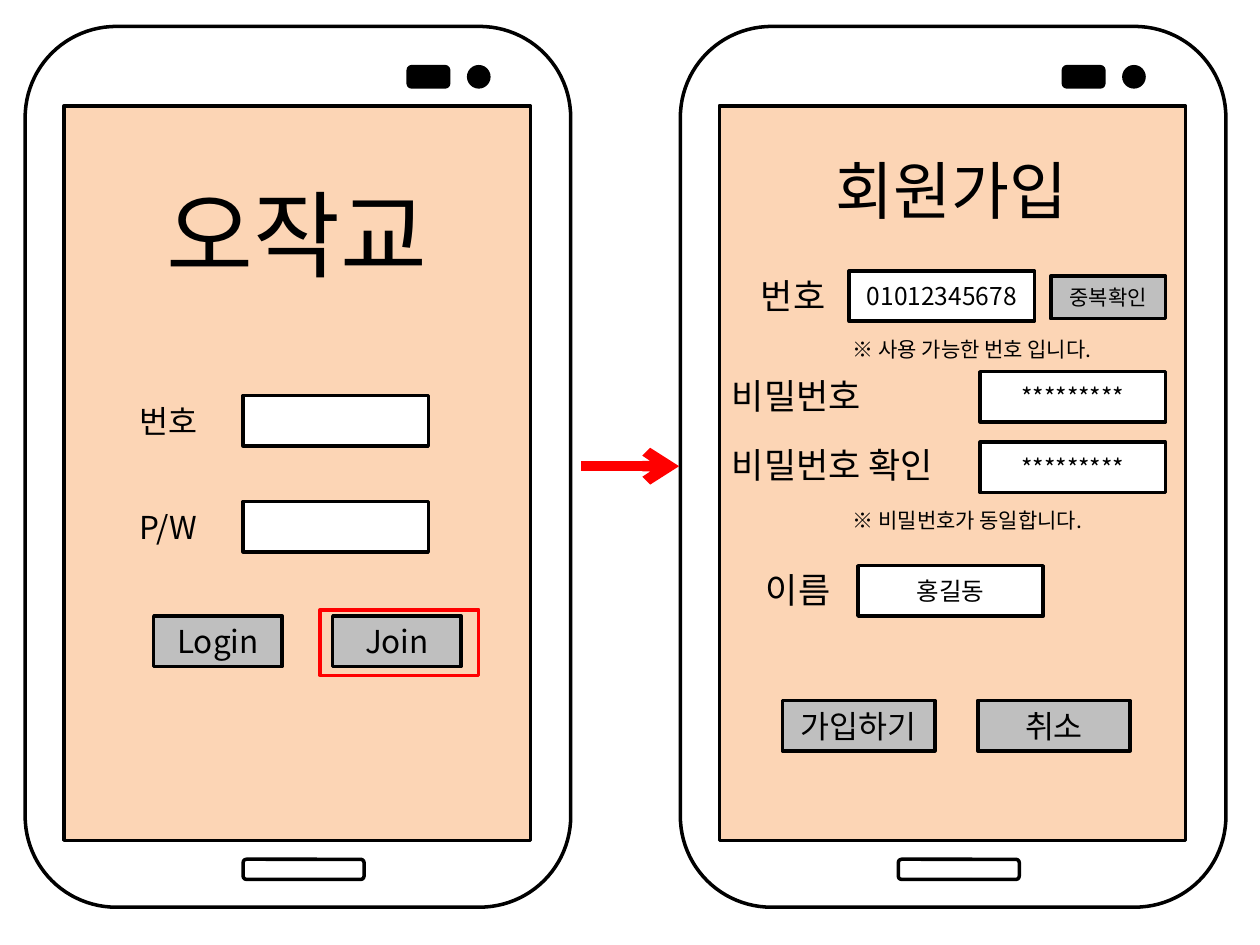
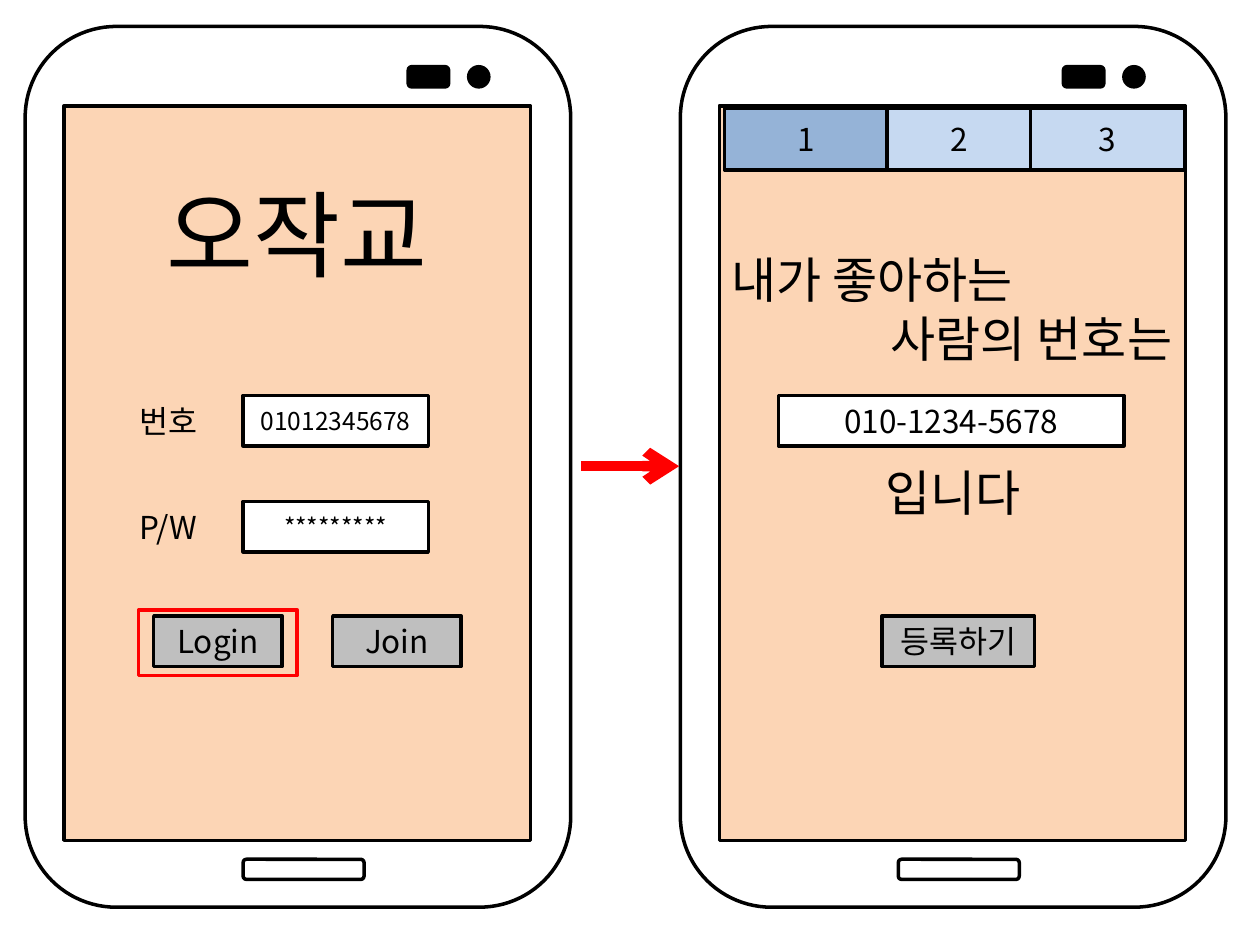
import pptx
import pptx.util
import pptx.dml.color
import pptx.enum.shapes
import pptx.enum.text
import pptx.oxml
import pptx.oxml.ns

SHAPE = pptx.enum.shapes.MSO_SHAPE
ALIGN = pptx.enum.text.PP_ALIGN
ANCHOR = pptx.enum.text.MSO_ANCHOR
FONT = "Noto Sans CJK KR"
COLORS = {
    "ink": "000000", "paper": "FFFFFF", "screen": "FCD5B5", "button": "BFBFBF",
    "accent": "FF0000", "tab": "C6D9F1", "active_tab": "95B3D7",
}

# The slide is a grid of 100 columns by 75 rows of square cells.
COLUMNS, ROWS = 100, 75
SLIDE_WIDTH = pptx.util.Inches(10)
CELL = SLIDE_WIDTH // COLUMNS

# Horizontal places inside a screen are counted from that screen's left edge.
PHONE_PITCH = 52
LEFT_PHONE, RIGHT_PHONE = 2, 2 + PHONE_PITCH
LEFT_SCREEN, RIGHT_SCREEN = 5.1, 5.1 + PHONE_PITCH
SCREEN_TOP, SCREEN_WIDTH, SCREEN_HEIGHT = 8.4, 37, 58.3
FIELD_WIDTH, CONTROL_HEIGHT = 14.7, 4
LOGIN_ROWS = (31.4, 39.8)
BUTTON_ROW = 48.9
MASK = "*" * 9


def cells(*counts):
    return [pptx.util.Emu(round(count * CELL)) for count in counts]


def rgb(name):
    return pptx.dml.color.RGBColor.from_string(COLORS[name])


def write_text(frame, text, size, alignments):
    """Write one paragraph for each line, with one alignment for each."""
    frame.word_wrap = True
    for index, (line, alignment) in enumerate(zip(text.split("\n"), alignments)):
        paragraph = frame.paragraphs[0] if index == 0 else frame.add_paragraph()
        paragraph.alignment = alignment
        run = paragraph.add_run()
        run.text = line
        run.font.size = pptx.util.Pt(size)
        run.font.name = FONT
        run.font.color.rgb = rgb("ink")
        east_asian = pptx.oxml.parse_xml(
            f'<a:ea {pptx.oxml.ns.nsdecls("a")} typeface="{FONT}"/>')
        run.font._element.find(pptx.oxml.ns.qn("a:latin")).addnext(east_asian)


def add_box(shapes, left, top, width, height, fill="paper", line="ink",
            kind=SHAPE.RECTANGLE, text="", size=18):
    shape = shapes.add_shape(kind, *cells(left, top, width, height))
    shape.shadow.inherit = False
    if fill:
        shape.fill.solid()
        shape.fill.fore_color.rgb = rgb(fill)
    else:
        shape.fill.background()
    shape.line.color.rgb = rgb(line)
    shape.line.width = pptx.util.Pt(2)
    if text:
        shape.text_frame.vertical_anchor = ANCHOR.MIDDLE
        write_text(shape.text_frame, text, size, [ALIGN.CENTER])
    return shape


def add_label(slide, left, top, width, height, text, size,
              alignments=(ALIGN.LEFT,)):
    box = slide.shapes.add_textbox(*cells(left, top, width, height))
    write_text(box.text_frame, text, size, alignments)
    box.text_frame.auto_size = pptx.enum.text.MSO_AUTO_SIZE.SHAPE_TO_FIT_TEXT


def add_field(slide, left, top, text="", size=14, width=FIELD_WIDTH):
    add_box(slide.shapes, left, top, width, CONTROL_HEIGHT, text=text, size=size)


def add_button(slide, left, top, width, text):
    add_box(slide.shapes, left, top, width, CONTROL_HEIGHT, "button", text=text)


def add_phone(slide, left):
    shapes = slide.shapes.add_group_shape().shapes
    rounded = SHAPE.ROUNDED_RECTANGLE
    add_box(shapes, left, 2.1, 43.3, 69.9, kind=rounded)
    add_box(shapes, left + 17.3, 68.2, 9.6, 1.6, kind=rounded)
    add_box(shapes, left + 35.2, 5.3, 1.6, 1.6, "ink", kind=SHAPE.OVAL)
    add_box(shapes, left + 30.4, 5.3, 3.2, 1.6, "ink", kind=rounded)


def add_screen(shapes, left):
    add_box(shapes, left, SCREEN_TOP, SCREEN_WIDTH, SCREEN_HEIGHT, "screen")


def add_arrow(slide):
    connector = slide.shapes.add_connector(
        pptx.enum.shapes.MSO_CONNECTOR.STRAIGHT, *cells(46.1, 37, 53.9, 37))
    connector.line.color.rgb = rgb("accent")
    connector.line.width = pptx.util.Pt(6)
    namespace = pptx.oxml.ns.nsdecls("a")
    connector.line._get_or_add_ln().append(
        pptx.oxml.parse_xml(f'<a:tailEnd {namespace} type="arrow"/>'))
    connector._element.spPr.append(
        pptx.oxml.parse_xml(f"<a:effectLst {namespace}/>"))


def add_login_screen(slide, highlight, values=("", "")):
    """Login form with a red frame around the button to press."""
    left = LEFT_SCREEN
    add_screen(slide.shapes, left)
    add_label(slide, left + 5.9, 13.5, 25.2, 10.1, "오작교", 54, [ALIGN.CENTER])
    for top, label, value in zip(LOGIN_ROWS, ("번호", "P/W"), values):
        add_label(slide, left + 5, top, 9.4, 4, label, 18)
        add_field(slide, left + 14.2, top, value)
    for offset, text in ((7.1, "Login"), (21.3, "Join")):
        add_button(slide, left + offset, BUTTON_ROW, 10.2, text)
    add_box(slide.shapes, left + highlight, 48.4, 12.6, 5.2, None, "accent")


def add_signup_screen(slide):
    left = RIGHT_SCREEN
    add_screen(slide.shapes, left)
    add_label(slide, left + 5.8, 11.5, 25.2, 7.1, "회원가입", 36, [ALIGN.CENTER])
    # Field names
    for offset, top, width, text in (
            (2.3, 21.3, 8, "번호"), (0, 29.2, 13.5, "비밀번호"),
            (0, 34.7, 19.5, "비밀번호 확인"), (2.7, 44.6, 8, "이름")):
        add_label(slide, left + offset, top, width, 4.4, text, 20)
    # Entered values
    for offset, top, text in (
            (10.3, 21.5, "01012345678"), (20.7, 29.5, MASK),
            (20.7, 35.1, MASK), (11, 44.9, "홍길동")):
        add_field(slide, left + offset, top, text)
    # Checks
    add_box(slide.shapes, left + 26.3, 21.9, 9.1, 3.4, "button",
            text="중복확인", size=12)
    for top, text in ((26.2, "※ 사용 가능한 번호 입니다."),
                      (39.8, "※ 비밀번호가 동일합니다.")):
        add_label(slide, left + 9.6, top, 24.2, 3, text, 12)
    for offset, text in ((5, "가입하기"), (20.5, "취소")):
        add_button(slide, left + offset, 55.6, 12.1, text)


def add_register_screen(slide):
    left = RIGHT_SCREEN
    # Screen with its tabs
    shapes = slide.shapes.add_group_shape().shapes
    add_screen(shapes, left)
    tab_left = left + 0.4
    for number, width in enumerate((12.9, 11.4, 12.2), start=1):
        fill = "active_tab" if number == 1 else "tab"
        add_box(shapes, tab_left, 8.6, width, 4.9, fill, text=str(number))
        tab_left += width
    # Sentence around the number
    add_label(slide, left, 19.3, 36.9, 10.4, "내가 좋아하는\n사람의 번호는", 28,
              [ALIGN.LEFT, ALIGN.RIGHT])
    add_field(slide, left + 4.7, LOGIN_ROWS[0], "010-1234-5678", 18, 27.4)
    add_label(slide, left + 0.1, 36.2, 36.9, 5.7, "입니다", 28, [ALIGN.CENTER])
    add_button(slide, left + 12.9, BUTTON_ROW, 12.1, "등록하기")


def add_flow_slide(presentation):
    """Blank slide with two phones joined by an arrow."""
    slide = presentation.slides.add_slide(presentation.slide_layouts[6])
    for left in (RIGHT_PHONE, LEFT_PHONE):
        add_phone(slide, left)
    add_arrow(slide)
    return slide


def main():
    presentation = pptx.Presentation()
    presentation.slide_width = SLIDE_WIDTH
    presentation.slide_height = CELL * ROWS

    signup = add_flow_slide(presentation)
    add_login_screen(signup, highlight=20.3)
    add_signup_screen(signup)

    register = add_flow_slide(presentation)
    add_login_screen(register, highlight=5.9, values=("01012345678", MASK))
    add_register_screen(register)

    presentation.save("out.pptx")


main()
